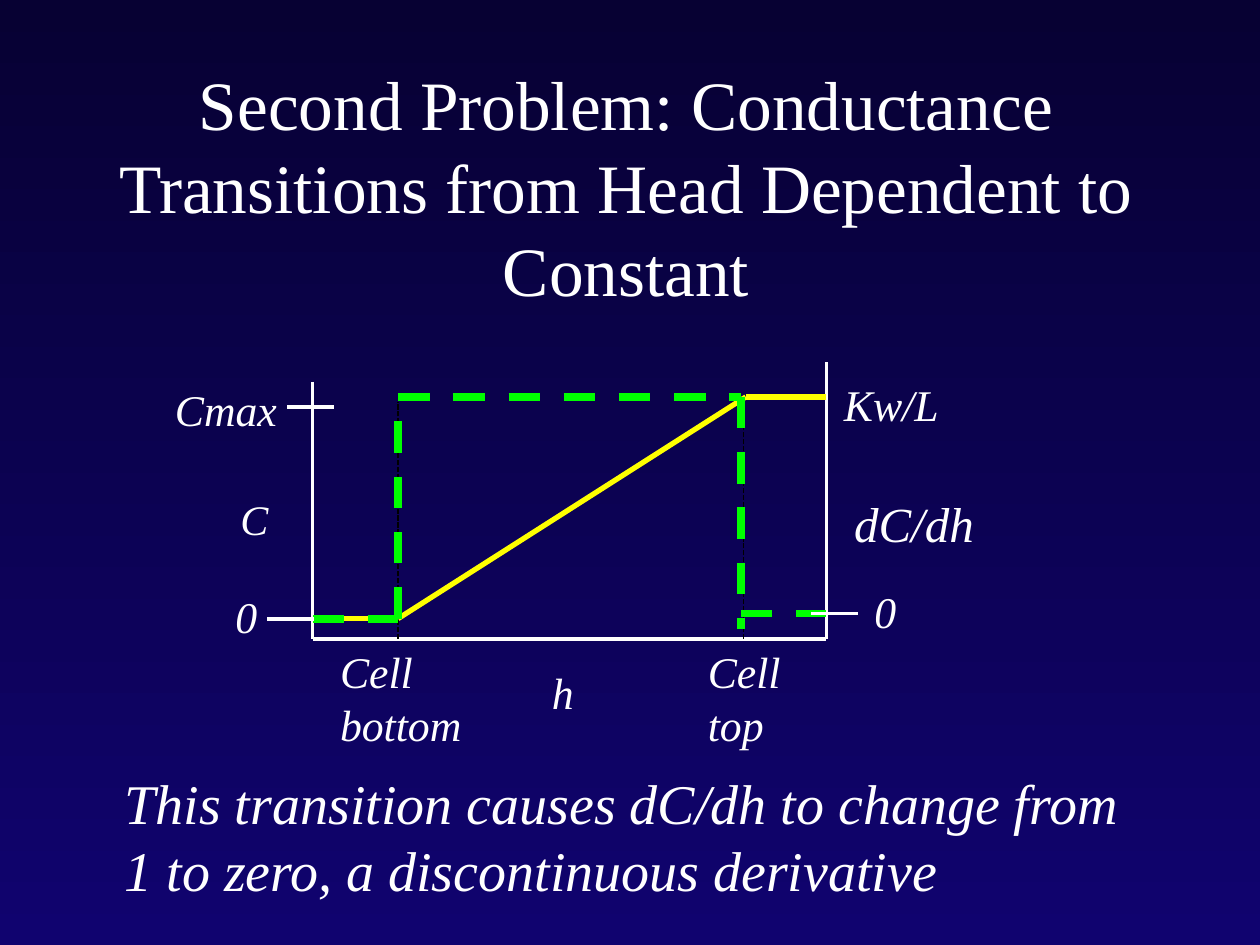
from lxml import etree
from pptx import Presentation
from pptx import util as u
from pptx.dml.color import RGBColor
from pptx.enum import dml, shapes, text
from pptx.oxml.ns import qn

COLORS = {
    "bg_top": "070133",
    "bg_bottom": "10036F",
    "white": "FFFFFF",
    "black": "000000",
    "conductance": "FFFF00",
    "derivative": "00FF00",
}
DASH = dml.MSO_LINE.DASH
DOTS = dml.MSO_LINE.SQUARE_DOT

prs = Presentation()
prs.slide_width, prs.slide_height = u.Pt(720), u.Pt(540)
s = prs.slides.add_slide(prs.slide_layouts[6])

fill = s.background.fill
fill.gradient()
fill.gradient_angle = 270  # counter-clockwise, so top to bottom
for stop, name, pos in zip(fill.gradient_stops, ("bg_top", "bg_bottom"), (0, 1)):
    stop.color.rgb = RGBColor.from_string(COLORS[name])
    stop.position = pos


def add_text(lines, x, y, w, h, size, italic=True):
    sp = s.shapes.add_textbox(u.Pt(x), u.Pt(y), u.Pt(w), u.Pt(h))
    tf = sp.text_frame
    for i, line in enumerate(lines):
        p = tf.paragraphs[0] if i == 0 else tf.add_paragraph()
        r = p.add_run()
        r.text = line
        r.font.name = "Times New Roman"
        r.font.size = u.Pt(size)
        r.font.italic = italic
        r.font.color.rgb = RGBColor.from_string(COLORS["white"])
    return tf


def add_path(points, color, width, dash=None):
    """Draw one straight line between each pair of neighbouring points."""
    for start, end in zip(points, points[1:]):
        c = s.shapes.add_connector(
            shapes.MSO_CONNECTOR.STRAIGHT, *(u.Pt(v) for v in start + end))
        c.line.color.rgb = RGBColor.from_string(COLORS[color])
        c.line.width = u.Pt(width)
        if dash:
            c.line.dash_style = dash
        etree.SubElement(c._element.spPr, qn("a:effectLst"))


tf = add_text(
    ["Second Problem: Conductance Transitions from Head Dependent to Constant"],
    51.8, 61.2, 612, 90, 39.6, italic=False)
tf.word_wrap = True
tf.vertical_anchor = text.MSO_ANCHOR.MIDDLE
tf.paragraphs[0].alignment = text.PP_ALIGN.CENTER

# Graph positions
left, right, base = 178.6, 472.3, 365
cell_bottom, cell_top = 227.5, 424.8
high, zero, right_zero = 226.8, 353.5, 350.6
drop = 423.4  # where the derivative falls back

# Axes and cell limits
add_path([(left, 218.2), (left, base), (right, base), (right, 206.6)], "white", 2.25)
for x in (cell_bottom, cell_top):
    add_path([(x, base), (x, 229.7)], "black", 1, DOTS)

# Conductance, then its derivative
add_path([(left, zero), (cell_bottom, zero), (426.2, high), (right, high)],
         "conductance", 3)
add_path([(left, zero), (cell_bottom, zero), (cell_bottom, 232.6)],
         "derivative", 4.5, DASH)
add_path([(cell_bottom, high), (drop, high), (drop, 359.3)], "derivative", 4.5, DASH)
add_path([(drop, right_zero), (right, right_zero)], "derivative", 4.5, DASH)

# Axis ticks
for x, y in ((152.6, zero), (164.2, 232.6), (463.7, right_zero)):
    add_path([(x, y), (x + 26.6, y)], "white", 2.25)

labels = [
    (["dC/dh"], 481, 278.6, 83.5, 41, 28),
    (["C"], 130.3, 278.6, 31, 36.7, 24),
    (["h"], 308.2, 376.6, 27.4, 37.4, 25),
    (["0"], 127.4, 333.4, 27.4, 37.4, 25),
    (["0"], 492.5, 330.5, 27.4, 37.4, 25),
    (["Cmax"], 92.9, 215.3, 73.4, 37.4, 25),
    (["Kw/L"], 475.2, 212.4, 69.1, 37.4, 25),
    (["Cell", "bottom"], 187.2, 365, 85, 67.7, 25),
    (["Cell", "top"], 397.4, 365, 63.4, 67.7, 25),
    (["This transition causes dC/dh to change from",
      "1 to zero, a discontinuous derivative"], 64.1, 435.6, 588.2, 85, 32),
]
for label in labels:
    tf = add_text(*label)
    tf.word_wrap = False
    tf.auto_size = text.MSO_AUTO_SIZE.SHAPE_TO_FIT_TEXT

prs.save("out.pptx")
